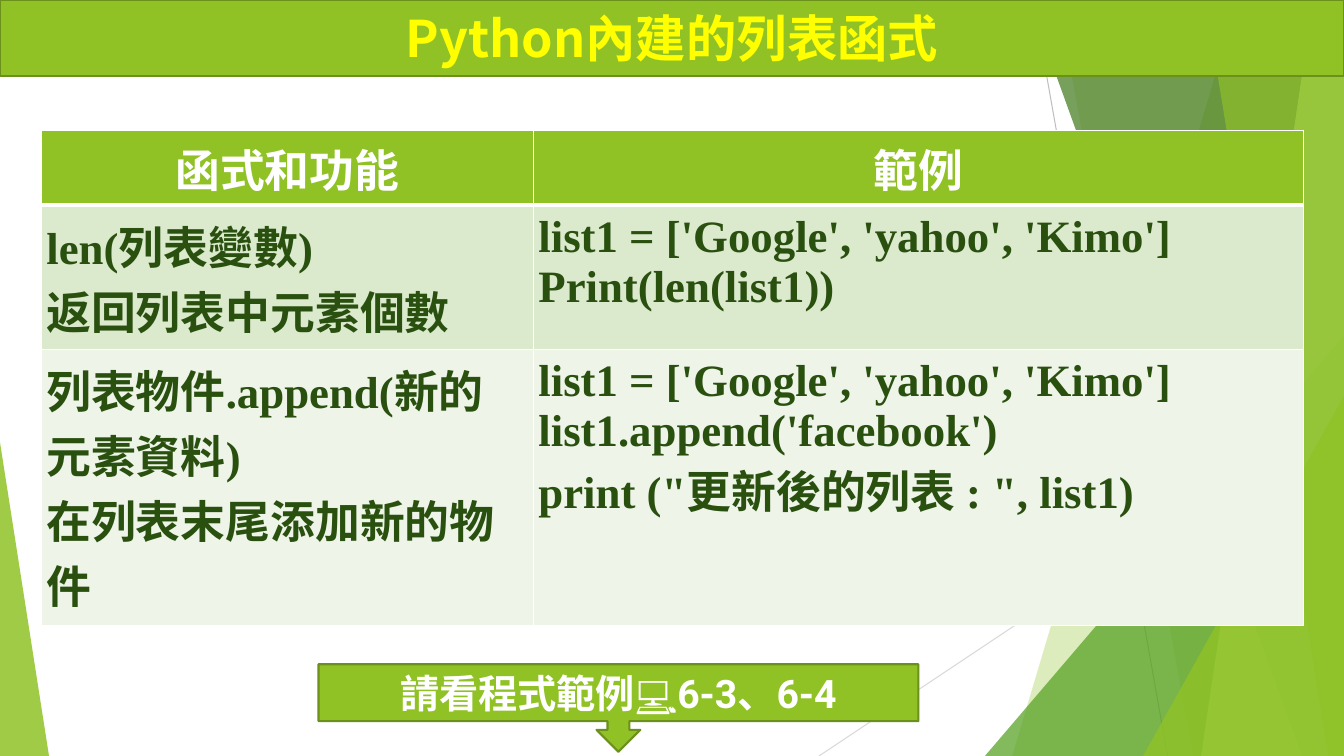
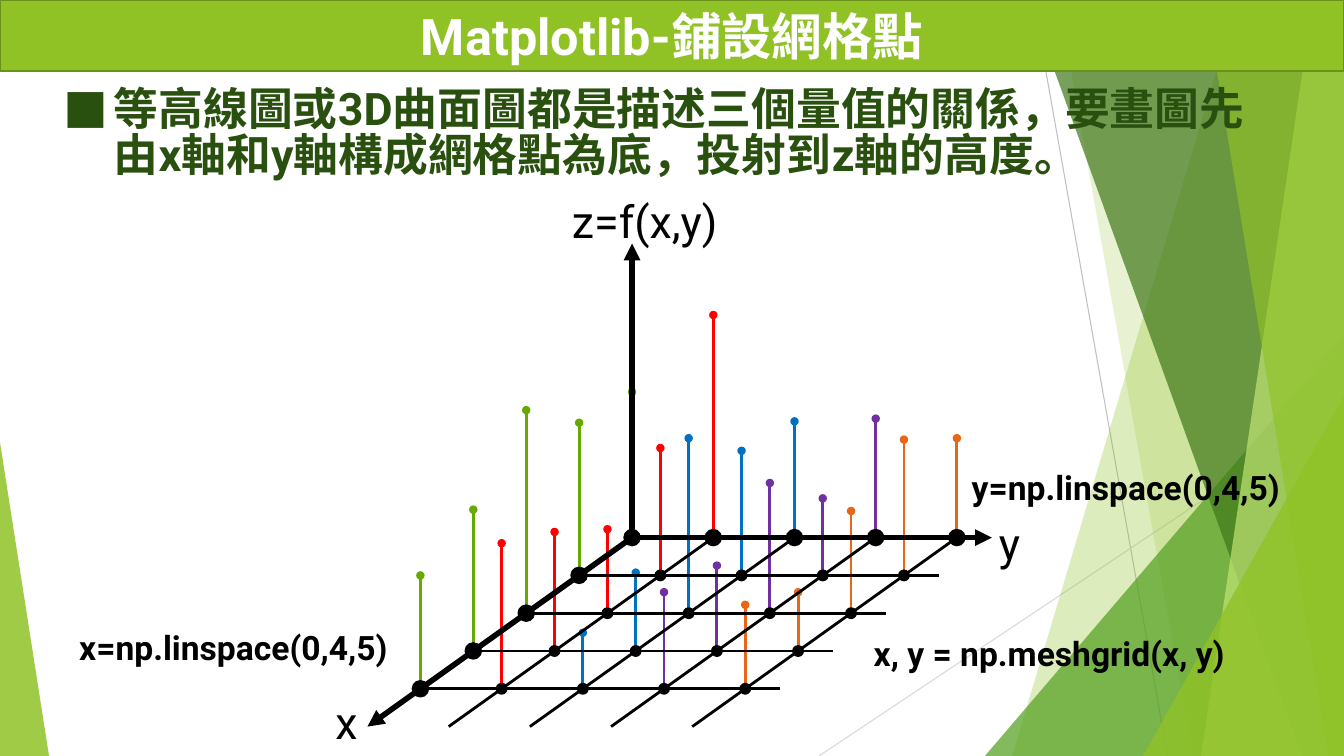
from lxml.etree import SubElement
from pptx import Presentation
from pptx.dml.color import RGBColor
from pptx.enum.shapes import MSO_CONNECTOR as Connector, MSO_SHAPE as Preset
from pptx.enum.text import MSO_ANCHOR as Anchor, MSO_AUTO_SIZE as AutoSize, PP_ALIGN as Align
from pptx.oxml.ns import qn
from pptx.util import Pt

WIDTH, HEIGHT = 960, 540
LIME, LIME_EDGE, DARK_GREEN = "90C226", "6B901C", "2A5010"
WHITE, BLACK, YELLOW = "FFFFFF", "000000", "FFFF00"
SANS, SERIF, CHINESE = "Roboto", "Times New Roman", "Noto Sans CJK SC"

TABLE_ROWS = [
    (["函式和功能"], ["範例"]),
    (["len(列表變數)\n返回列表中元素個數"],
     ["list1 = ['Google', 'yahoo', 'Kimo']", "Print(len(list1))"]),
    (["列表物件.append(新的元素資料)\n在列表末尾添加新的物件"],
     ["list1 = ['Google', 'yahoo', 'Kimo']", "list1.append('facebook')",
      'print ("更新後的列表 : ", list1)']),
]
ROW_FILLS = [LIME, "DBE9CD", "EEF4E8"]

# Stem heights for each y value, from the y axis towards the viewer
STEMS = [
    ("66A901", [104, 109, 145, 101, 81]),
    ("FF0000", [159, 91, 60, 85, 104]),
    ("0070C0", [83, 89, 125, 56, 40]),
    ("7030A0", [85, 55, 93, 61, 69]),
    ("E76618", [71, 97, 73, 42, 60]),
]


def color(value):
    return RGBColor.from_string(value)


def box(*lengths):
    return [Pt(length) for length in lengths]


def paint(shape, fill, edge=None, alpha=None):
    """Fill and outline a shape; alpha is the opacity in percent."""
    shape.fill.solid()
    shape.fill.fore_color.rgb = color(fill)
    if alpha:
        tint = shape.element.spPr.find(".//" + qn("a:srgbClr"))
        SubElement(tint, qn("a:alpha"), val=str(alpha * 1000))
    if edge:
        shape.line.color.rgb = color(edge)
        shape.line.width = Pt(1.5)
    else:
        shape.line.fill.background()


def add_preset(shapes, preset, area, fill, edge=None, alpha=None):
    shape = shapes.add_shape(preset, *box(*area))
    shape.shadow.inherit = False
    paint(shape, fill, edge, alpha)
    return shape


def add_line(shapes, start, end, stroke, width, tip=None):
    connector = shapes.add_connector(Connector.STRAIGHT, *box(*start, *end))
    connector.line.color.rgb = color(stroke)
    connector.line.width = Pt(width)
    properties = connector.element.spPr
    if tip:
        SubElement(properties.find(qn("a:ln")), qn("a:tailEnd"), type=tip)
    SubElement(properties, qn("a:effectLst"))


def write(paragraph, text, size, face, ink, bold=True):
    """Add the text as runs, with a line break at each newline."""
    for number, part in enumerate(text.split("\n")):
        if number:
            paragraph.add_line_break()
        run = paragraph.add_run()
        run.text = part
        font = run.font
        font.size, font.name, font.bold = Pt(size), face, bold
        font.color.rgb = color(ink)
        SubElement(run._r.get_or_add_rPr(), qn("a:ea"), typeface=CHINESE)


def add_label(slide, area, text, size, bold):
    frame = slide.shapes.add_textbox(*box(*area)).text_frame
    frame.word_wrap = False
    write(frame.paragraphs[0], text, size, SANS, BLACK, bold)


def place(shape, area):
    shape.left, shape.top, shape.width, shape.height = box(*area)


def add_backdrop(slide, master):
    """Draw the leaf panels as one group and hand it to the master."""
    group = slide.shapes.add_group_shape()
    shapes = group.shapes

    def panel(top_x, bottom_x, fill, alpha):
        builder = shapes.build_freeform(top_x, 0, scale=Pt(1))
        builder.add_line_segments([(WIDTH, 0), (WIDTH, HEIGHT), (bottom_x, HEIGHT)])
        shape = builder.convert_to_shape()
        shape.shadow.inherit = False
        paint(shape, fill, alpha=alpha)

    def corner(left, top, width, apex, fill, alpha):
        area = (left, top, width, HEIGHT - top)
        triangle = add_preset(shapes, Preset.ISOSCELES_TRIANGLE, area, fill, alpha=alpha)
        triangle.adjustments[0] = apex

    add_line(shapes, (738, 0), (834, HEIGHT), "BFBFBF", 0.75)
    add_line(shapes, (WIDTH, 290), (585, HEIGHT), "D9D9D9", 0.75)
    panel(884, 723, LIME, 30)
    panel(756, 852, LIME, 20)
    corner(703.5, 240, 256.5, 1, "54A021", 72)
    panel(735, 930, "3F7819", 70)
    panel(938, 858, "C0E474", 70)
    panel(861, 949, LIME, 65)
    corner(816.5, 283, 143.5, 1, LIME, 80)
    corner(0, 316, 35, 0, LIME, 85)

    for number, properties in enumerate(group.element.iter(qn("p:cNvPr")), 100):
        properties.set("id", str(number))
    master.shapes.element.insert(2, group.element)


def fill_title(slide, height, text, face, ink):
    title = slide.shapes.title
    place(title, (0, 0, WIDTH, height))
    paint(title, LIME, LIME_EDGE)
    frame = title.text_frame
    frame.auto_size, frame.vertical_anchor = AutoSize.NONE, Anchor.MIDDLE
    frame.margin_top = frame.margin_bottom = 0
    paragraph = frame.paragraphs[0]
    paragraph.alignment = Align.CENTER
    write(paragraph, text, 36, face, ink)


def set_borders(cell, bottom):
    properties = cell._tc.get_or_add_tcPr()
    for side, width in (("L", 1), ("R", 1), ("T", 1), ("B", bottom)):
        line = SubElement(properties, qn("a:ln" + side), w=str(Pt(width)))
        SubElement(SubElement(line, qn("a:solidFill")), qn("a:srgbClr"), val=WHITE)


def add_function_table(slide, left, top, column_widths, row_heights):
    area = box(left, top, sum(column_widths), sum(row_heights))
    table = slide.shapes.add_table(len(row_heights), len(column_widths), *area).table
    table.horz_banding = False
    for column, width in zip(table.columns, column_widths):
        column.width = Pt(width)
    for number, (row, height) in enumerate(zip(table.rows, row_heights)):
        row.height = Pt(height)
        header = number == 0
        for cell, lines in zip(row.cells, TABLE_ROWS[number]):
            set_borders(cell, 3 if header else 1)
            cell.fill.solid()
            cell.fill.fore_color.rgb = color(ROW_FILLS[number])
            if not header:
                cell.margin_left = cell.margin_right = Pt(3.6)
                cell.margin_top = cell.margin_bottom = Pt(5)
            frame = cell.text_frame
            for index, line in enumerate(lines):
                paragraph = frame.add_paragraph() if index else frame.paragraphs[0]
                paragraph.alignment = Align.CENTER if header else Align.LEFT
                write(paragraph, line, 32, SERIF, WHITE if header else DARK_GREEN)


def add_example_callout(slide, area, text):
    callout = add_preset(slide.shapes, Preset.DOWN_ARROW_CALLOUT, area, LIME, LIME_EDGE)
    frame = callout.text_frame
    frame.word_wrap = True
    frame.vertical_anchor = Anchor.MIDDLE
    frame.paragraphs[0].alignment = Align.CENTER
    write(frame.paragraphs[0], text, 28, SANS, WHITE)


def fill_body(slide, area, text):
    body = slide.placeholders[1]
    place(body, area)
    frame = body.text_frame
    frame.auto_size, frame.vertical_anchor = AutoSize.NONE, Anchor.TOP
    paragraph = frame.paragraphs[0]
    paragraph.line_spacing = 0.85
    paragraph.space_before = Pt(0)
    properties = paragraph._p.get_or_add_pPr()
    properties.set("marL", str(Pt(36)))
    properties.set("indent", str(-Pt(36)))
    SubElement(properties, qn("a:buFont"), typeface=CHINESE)
    SubElement(properties, qn("a:buChar"), char="■")
    write(paragraph, text, 32, SANS, DARK_GREEN)


def add_mesh_diagram(slide, origin_x, origin_y):
    """Draw axes, floor grid, stems and labels around the origin."""
    shapes = slide.shapes
    step_y, step_x, drop = 58, -37.8, 27
    axis_y, axis_z = 257, 210
    count = len(STEMS)

    def node(i, j):
        return origin_x + i * step_x + j * step_y, origin_y + i * drop

    def label(dx, dy, width, height, text, size, bold=False):
        add_label(slide, (origin_x + dx, origin_y + dy, width, height), text, size, bold)

    for j, (stroke, heights) in enumerate(STEMS):
        for i, height in enumerate(heights):
            x, y = node(i, j)
            add_line(shapes, (x, y), (x, y - height), stroke, 2, "oval")

    add_line(shapes, node(0, 0), (origin_x, origin_y - axis_z), BLACK, 4, "triangle")
    for k in range(count):
        width, tip = (2, None) if k else (4, "triangle")
        x, y = node(k, 0)
        add_line(shapes, node(0, k), node(count, k), BLACK, width, tip)
        add_line(shapes, (x, y), (x + axis_y, y), BLACK, width, tip)

    for i in range(count):
        for j in range(count):
            x, y = node(i, j)
            size = 7 if i and j else 11
            area = (x - size / 2, y - size / 2, size, size)
            add_preset(shapes, Preset.OVAL, area, BLACK, BLACK)

    label(-219, 109, 31, 46, "x", 32)
    label(255, -19, 30, 46, "y", 32)
    label(-50, -249, 127, 46, "z=f(x,y)", 32)
    label(-402, 60, 251, 36, "x=np.linspace(0,4,5)", 24, True)
    label(235.5, -54, 251, 36, "y=np.linspace(0,4,5)", 24, True)
    label(165.5, 64.5, 287, 36, "x, y = np.meshgrid(x, y)", 24, True)


def build_functions_slide(presentation):
    slide = presentation.slides.add_slide(presentation.slide_layouts[5])
    add_backdrop(slide, presentation.slide_master)
    fill_title(slide, 54, "Python內建的列表函式", CHINESE, YELLOW)
    add_function_table(slide, 29.5, 93, [351.5, 550], [53, 103, 197])
    add_example_callout(slide, (227.5, 474.5, 428.5, 62.5), "請看程式範例💻6-3、6-4")


def build_mesh_slide(presentation):
    slide = presentation.slides.add_slide(presentation.slide_layouts[1])
    fill_title(slide, 50.5, "Matplotlib-鋪設網格點", SANS, WHITE)
    fill_body(slide, (38, 60, 883.5, 85),
              "等高線圖或3D曲面圖都是描述三個量值的關係，要畫圖先由x軸和y軸構成網格點為底，投射到z軸的高度。")
    add_mesh_diagram(slide, 451.5, 384)


def main():
    presentation = Presentation()
    presentation.slide_width, presentation.slide_height = box(WIDTH, HEIGHT)
    build_functions_slide(presentation)
    build_mesh_slide(presentation)
    presentation.save("out.pptx")


if __name__ == "__main__":
    main()
